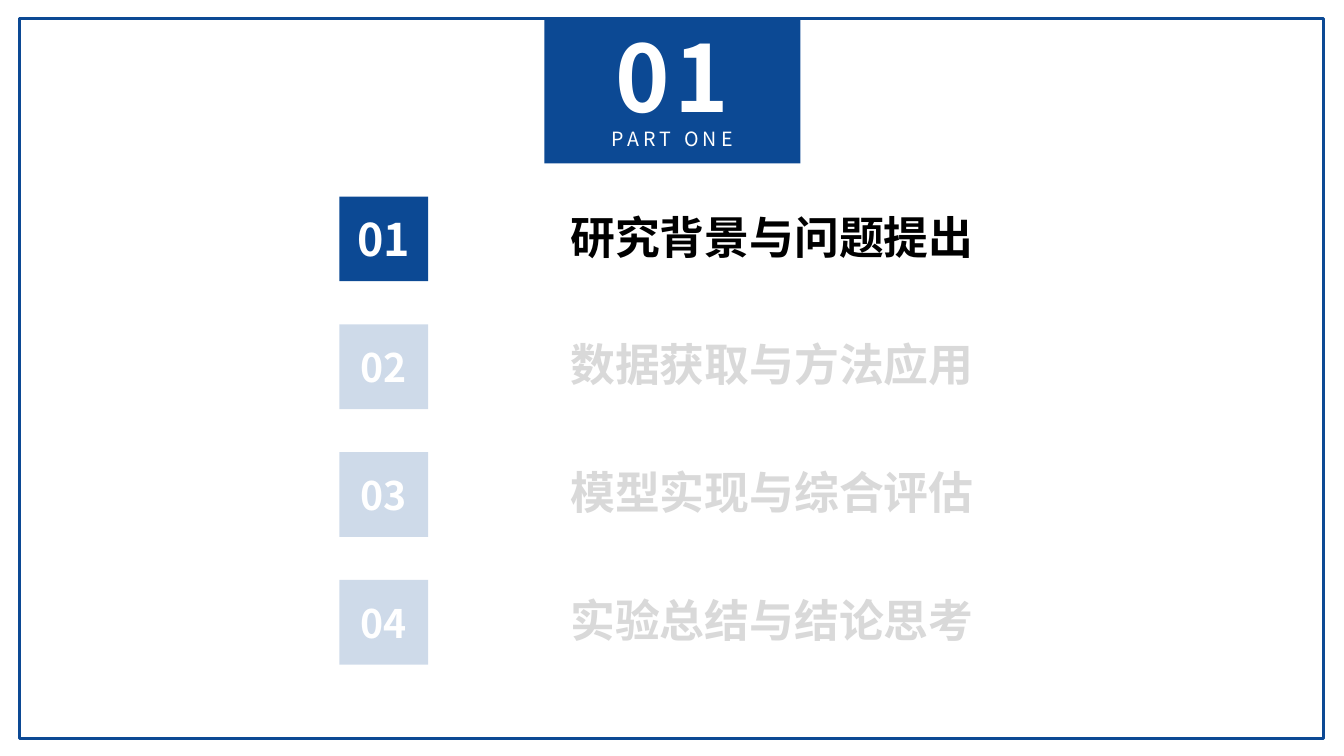
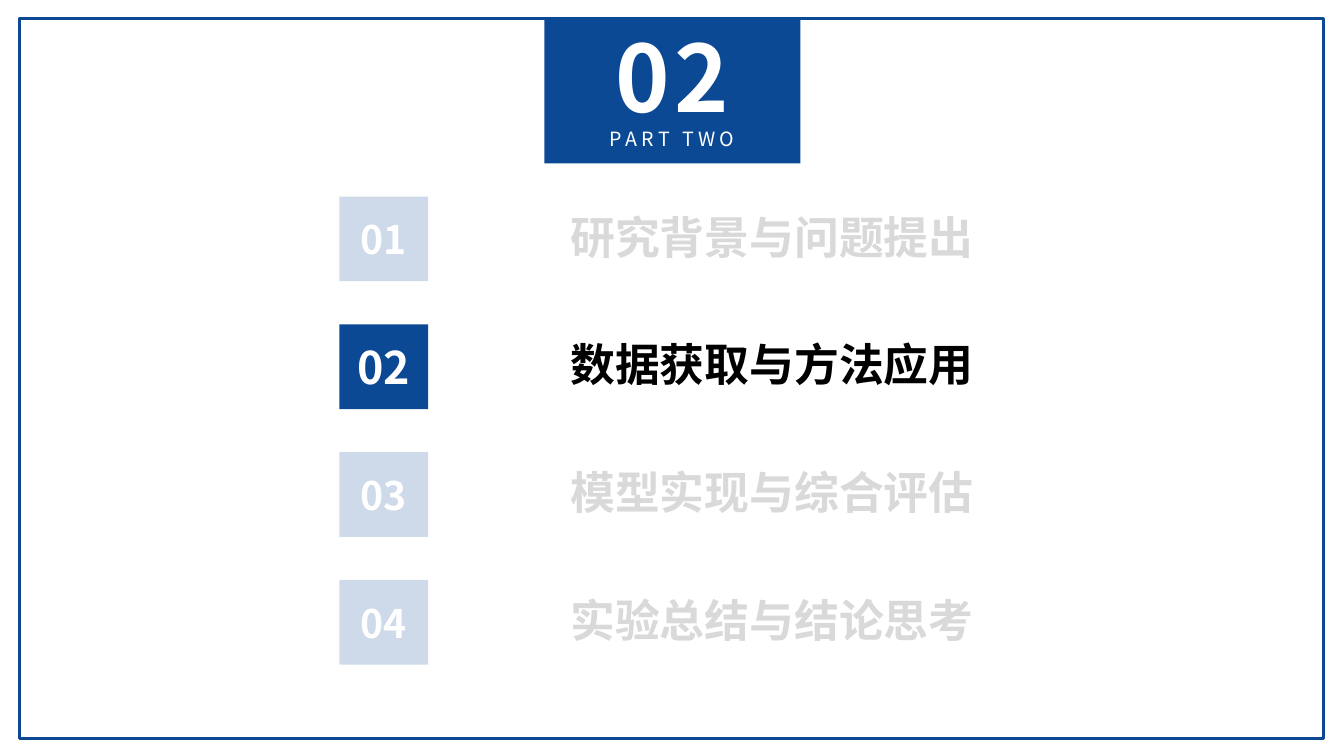
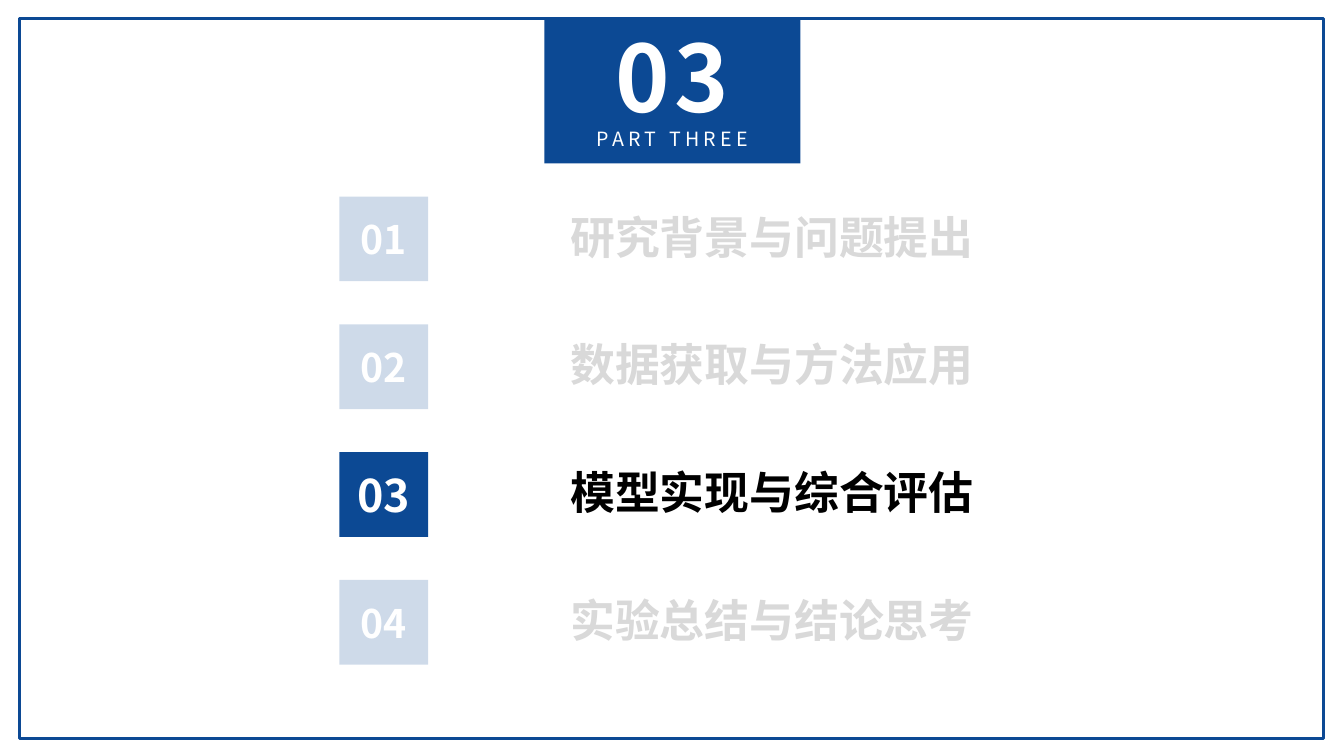
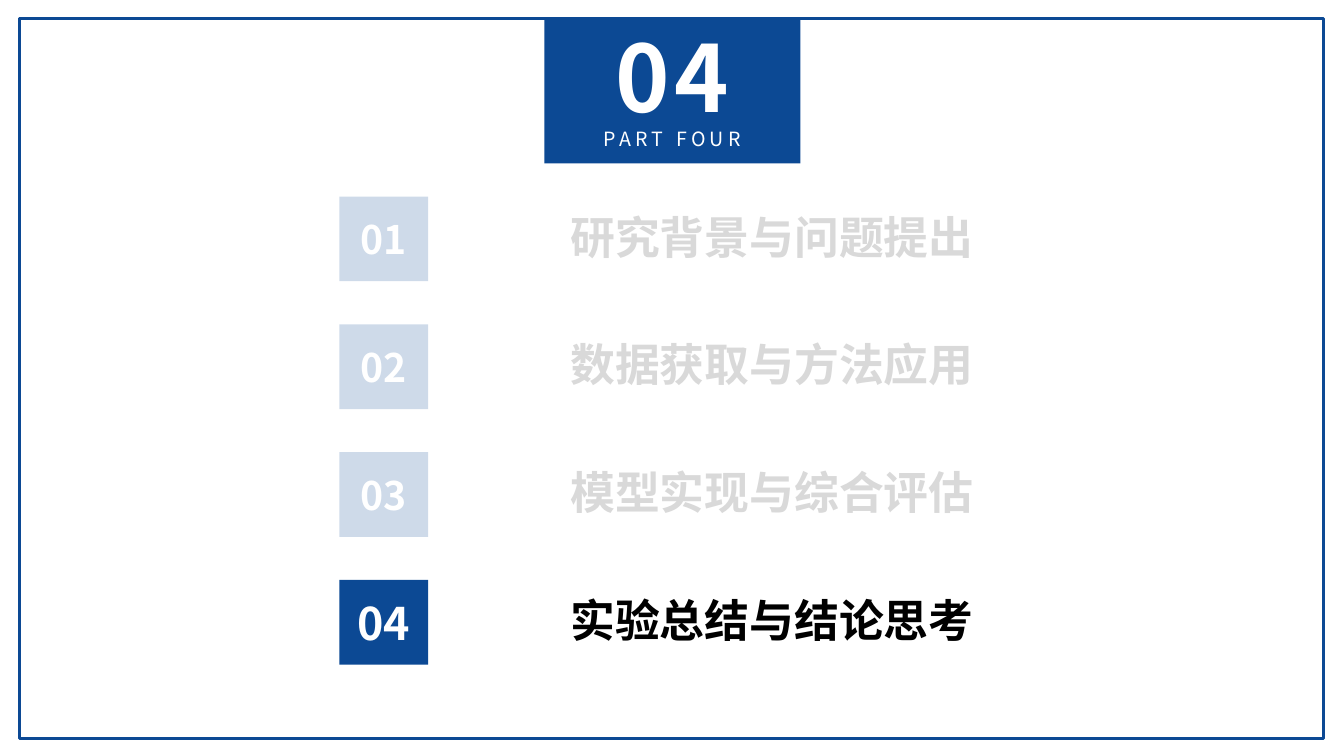
from lxml.etree import SubElement
from pptx import Presentation
from pptx.dml.color import RGBColor
from pptx.enum.shapes import MSO_SHAPE
from pptx.enum.text import MSO_ANCHOR, MSO_AUTO_SIZE, PP_ALIGN
from pptx.oxml.ns import qn
from pptx.util import Pt

SECTIONS = [
    ("研究背景与问题提出", "PART ONE", 108),
    ("数据获取与方法应用", "PART TWO", 111.6),
    ("模型实现与综合评估", "PART THREE", 127.4),
    ("实验总结与结论思考", "PART FOUR", 119.5),
]


def color(value):
    return RGBColor.from_string(value)


class Deck:
    FONT = "Noto Sans CJK SC"
    BLUE = "0C4994"
    WHITE = "FFFFFF"
    BLACK = "000000"
    GREY = "D9D9D9"
    WIDTH, HEIGHT = 960, 540
    CENTER = 480.2
    ROW_TOP, ROW_PITCH = 140.4, 91.3

    def __init__(self):
        self.presentation = Presentation()
        self.presentation.slide_width = Pt(self.WIDTH)
        self.presentation.slide_height = Pt(self.HEIGHT)
        self.slide = None

    def add_slide(self):
        self.slide = self.presentation.slides.add_slide(self.presentation.slide_layouts[6])
        frame = self.shape(MSO_SHAPE.RECTANGLE, 13.7, 13, 931.7, 514.8)
        frame.line.color.rgb = color(self.BLUE)
        frame.line.width = Pt(2.25)

    def shape(self, kind, left, top, width, height, fill=None, opacity=100):
        shape = self.slide.shapes.add_shape(kind, Pt(left), Pt(top), Pt(width), Pt(height))
        shape.shadow.inherit = False
        shape.line.fill.background()
        if fill is None:
            shape.fill.background()
            return shape
        shape.fill.solid()
        shape.fill.fore_color.rgb = color(fill)
        if opacity < 100:
            fill_color = shape._element.spPr.find(f"{qn('a:solidFill')}/{qn('a:srgbClr')}")
            SubElement(fill_color, qn("a:alpha")).set("val", str(opacity * 1000))
        return shape

    def set_text(self, shape, text, size, text_color, bold=True, spacing=0):
        paragraph = shape.text_frame.paragraphs[0]
        paragraph.text = text
        paragraph.alignment = PP_ALIGN.CENTER
        font = paragraph.font
        font.name = self.FONT
        font.size = Pt(size)
        font.bold = bold
        font.color.rgb = color(text_color)
        properties = paragraph._p.pPr.find(qn("a:defRPr"))
        SubElement(properties, qn("a:ea")).set("typeface", self.FONT)
        if spacing:
            properties.set("spc", str(spacing * 100))

    def text_box(self, text, left, top, width, height, size, text_color, wrap=True, **style):
        box = self.slide.shapes.add_textbox(Pt(left), Pt(top), Pt(width), Pt(height))
        box.text_frame.word_wrap = wrap
        box.text_frame.auto_size = MSO_AUTO_SIZE.SHAPE_TO_FIT_TEXT
        self.set_text(box, text, size, text_color, **style)

    def header_text(self, text, top, width, height, size, bold):
        self.text_box(text, self.CENTER - width / 2, top, width, height, size, self.WHITE,
                      wrap=False, bold=bold, spacing=3)

    def header(self, number, caption, caption_width):
        self.shape(MSO_SHAPE.RECTANGLE, 388.8, 13, 182.9, 103.7, self.BLUE)
        self.header_text(number, 10.8, 103, 87.1, 66, True)
        self.header_text(caption, 87.1, caption_width, 24.5, 14, False)

    def agenda_row(self, index, title, active):
        top = self.ROW_TOP + index * self.ROW_PITCH
        self.text_box(title, 379.4, top + 5.6, 344.2, 46.1, 32,
                      self.BLACK if active else self.GREY)
        tile = self.shape(MSO_SHAPE.ROUNDED_RECTANGLE, 242.4, top, 63.4, 60.5,
                          self.BLUE, 100 if active else 20)
        tile.adjustments[0] = 0
        tile.text_frame.vertical_anchor = MSO_ANCHOR.MIDDLE
        self.set_text(tile, f"{index + 1:02}", 32 if active else 28, self.WHITE)


def main():
    deck = Deck()
    for current, (_, caption, caption_width) in enumerate(SECTIONS):
        deck.add_slide()
        deck.header(f"{current + 1:02}", caption, caption_width)
        for index, (title, _, _) in enumerate(SECTIONS):
            deck.agenda_row(index, title, index == current)
    deck.presentation.save("out.pptx")


if __name__ == "__main__":
    main()
